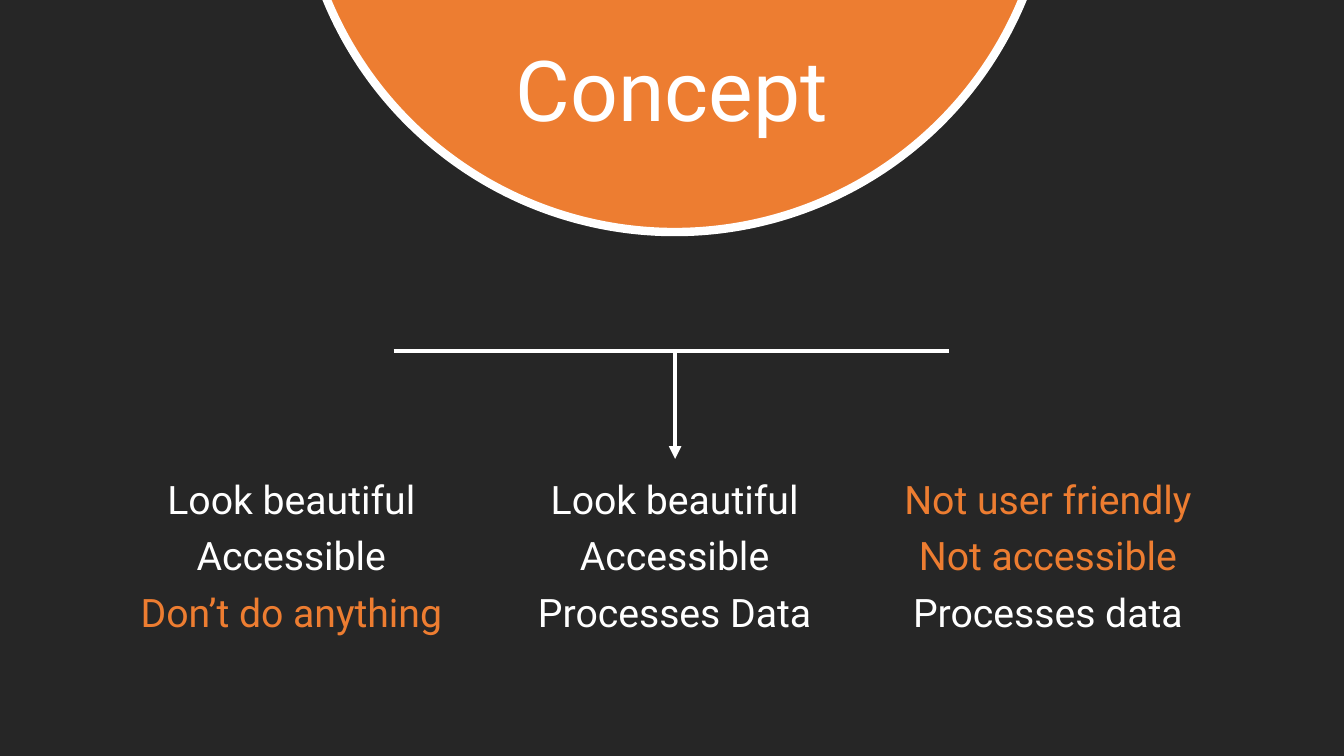
from lxml.etree import SubElement
from pptx import Presentation
from pptx.dml.color import RGBColor
from pptx.enum.shapes import MSO_CONNECTOR, MSO_SHAPE
from pptx.enum.text import MSO_ANCHOR, PP_ALIGN
from pptx.oxml.ns import qn
from pptx.util import Emu, Pt

PX = 9525
FONT = "Roboto"
COLOURS = {"background": "262626", "accent": "ED7D31", "light": "FFFFFF"}
COLUMNS = [
    (88, 379, [("Look beautiful", "light"), ("Accessible", "light"),
               ("Don’t do anything", "accent")]),
    (453, 379, [("Look beautiful", "light"), ("Accessible", "light"),
                ("Processes Data", "light")]),
    (804, 388, [("Not user friendly", "accent"), ("Not accessible", "accent"),
                ("Processes data", "light")]),
]


def px(*lengths):
    return [Emu(length * PX) for length in lengths]


def colour(name):
    return RGBColor.from_string(COLOURS[name])


def add_lines(slide, box, lines, size, anchor):
    frame = slide.shapes.add_textbox(*px(*box)).text_frame
    frame.word_wrap = True
    frame.vertical_anchor = anchor
    frame.text = "\n".join(text for text, _ in lines)
    for index, (paragraph, (_, tint)) in enumerate(zip(frame.paragraphs, lines)):
        paragraph.alignment = PP_ALIGN.CENTER
        paragraph.line_spacing = 0.9
        paragraph.space_before = Pt(10 if index else 0)
        for run in paragraph.runs:
            run.font.name = FONT
            run.font.size = Pt(size)
            run.font.color.rgb = colour(tint)


def add_line(slide, start, end):
    line = slide.shapes.add_connector(MSO_CONNECTOR.STRAIGHT, *px(*start, *end))
    line.line.color.rgb = colour("light")
    line.line.width = Pt(3)
    SubElement(line._element.spPr, qn("a:effectLst"))
    return line


def add_heading(slide, left, top, width, height):
    diameter = 717
    circle = slide.shapes.add_shape(
        MSO_SHAPE.OVAL, *px(left + 196, top - 516, diameter, diameter))
    circle.shadow.inherit = False
    circle.fill.solid()
    circle.fill.fore_color.rgb = colour("accent")
    circle.line.color.rgb = colour("light")
    circle.line.width = Pt(6)
    add_lines(slide, (left, top, width, height), [("Concept", "light")],
              60, MSO_ANCHOR.MIDDLE)


def add_pointer(slide, left, top, width, height):
    stem_x = left + 268
    add_line(slide, (left, top), (left + width, top))
    stem = add_line(slide, (stem_x, top), (stem_x, top + height))
    SubElement(stem.line._get_or_add_ln(), qn("a:tailEnd"), type="triangle")


def add_columns(slide, top, height):
    for left, width, lines in COLUMNS:
        add_lines(slide, (left, top, width, height), lines, 28, MSO_ANCHOR.TOP)


def main():
    presentation = Presentation()
    presentation.slide_width, presentation.slide_height = px(1280, 720)
    slide = presentation.slides.add_slide(presentation.slide_layouts[6])
    slide.background.fill.solid()
    slide.background.fill.fore_color.rgb = colour("background")
    add_heading(slide, 88, 20, 1104, 139)
    add_pointer(slide, 375, 334, 529, 103)
    add_columns(slide, 453, 175)
    presentation.save("out.pptx")


if __name__ == "__main__":
    main()
